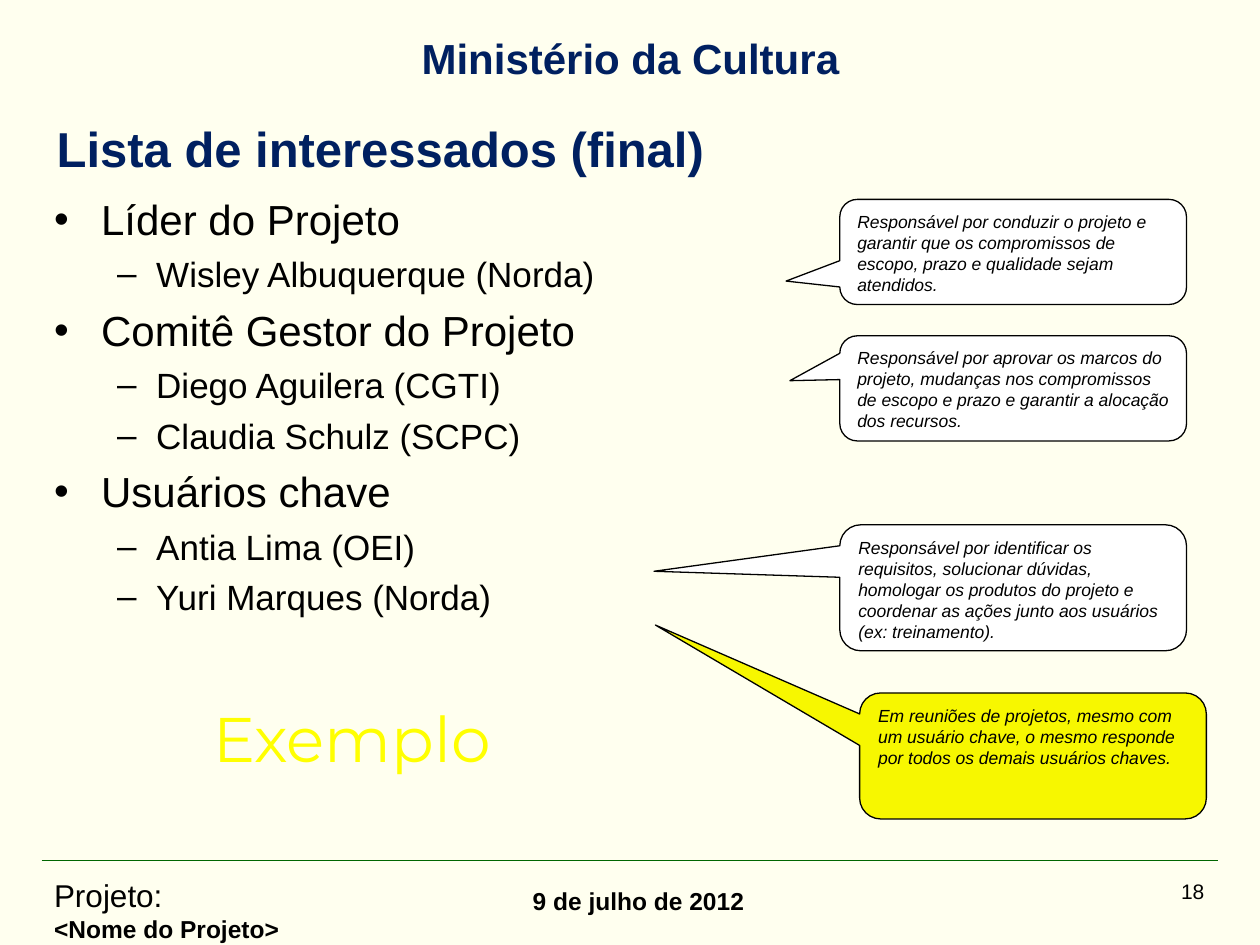
from lxml.etree import SubElement
from pptx import Presentation
from pptx.dml.color import RGBColor
from pptx.enum.shapes import MSO_CONNECTOR, MSO_SHAPE
from pptx.enum.text import MSO_ANCHOR, PP_ALIGN
from pptx.oxml.ns import qn
from pptx.util import Cm, Pt

THEME = {
    "font": "Arial", "accent_font": "Montserrat",
    "background": "FFFFEF", "heading": "002060", "text": "000000",
    "rule": "006600", "note": "FFFFFF", "highlight": "F7F700", "example": "FFFF00",
    "title": 28, "header": 24, "levels": (24, 20), "callout": 10,
    "project": 18, "footer": 14, "number": 12, "example_size": 36, "line": 0.75,
}

TITLE = "Lista de interessados (final)"
STAKEHOLDERS = [
    ("Líder do Projeto", ["Wisley Albuquerque (Norda)"]),
    ("Comitê Gestor do Projeto", ["Diego Aguilera (CGTI)", "Claudia Schulz (SCPC)"]),
    ("Usuários chave", ["Antia Lima (OEI)", "Yuri Marques (Norda)"]),
]
LEVELS = [("•", 0.95, 0.95, 5.5), ("–", 2.06, 0.79, 5)]

CALLOUT_WIDTH = 6.99
CALLOUTS = [
    ("Responsável por conduzir o projeto e garantir que os compromissos de escopo, "
     "prazo e qualidade sejam atendidos.", 16.93, 4.02, 2.12, (-0.655, 0.277), "note"),
    ("Responsável por aprovar os marcos do projeto, mudanças nos compromissos de "
     "escopo e prazo e garantir a alocação dos recursos.",
     16.93, 6.77, 2.12, (-0.644, -0.073), "note"),
    ("Responsável por identificar os requisitos, solucionar dúvidas, homologar os "
     "produtos do projeto e coordenar as ações junto aos usuários (ex: treinamento).",
     16.93, 10.58, 2.54, (-1.036, -0.131), "note"),
    ("Em reuniões de projetos, mesmo com um usuário chave, o mesmo responde por "
     "todos os demais usuários chaves.",
     17.33, 13.97, 2.54, (-1.089, -1.039), "highlight"),
]


def rgb(name):
    return RGBColor.from_string(THEME[name])


def style(p, size, color="text", bold=False, italic=False, font="font"):
    for r in p.runs:
        r.font.name = THEME[font]
        r.font.size = Pt(size)
        r.font.bold = bold
        r.font.italic = italic
        r.font.color.rgb = rgb(color)


def add_text(s, box, lines, align=PP_ALIGN.LEFT, wrap=True):
    tf = s.shapes.add_textbox(*map(Cm, box)).text_frame
    tf.word_wrap = wrap
    for i, (text, size, look) in enumerate(lines):
        p = tf.paragraphs[0] if i == 0 else tf.add_paragraph()
        p.text = text
        p.alignment = align
        style(p, size, **look)
    return tf


def add_stakeholders(s):
    items = [item for group, people in STAKEHOLDERS
             for item in [(group, 0)] + [(name, 1) for name in people]]
    lines = [(text, THEME["levels"][level], {}) for text, level in items]
    tf = add_text(s, (0.84, 3.78, 23.7, 13.2), lines)
    for i, (p, (_, level)) in enumerate(zip(tf.paragraphs, items)):
        mark, margin, hanging, gap = LEVELS[level]
        p.level = level
        p.space_before = Pt(gap if i else 0)
        pPr = p._p.get_or_add_pPr()
        pPr.set("marL", str(Cm(margin)))
        pPr.set("indent", str(-Cm(hanging)))
        SubElement(pPr, qn("a:buFont")).set("typeface", THEME["font"])
        SubElement(pPr, qn("a:buChar")).set("char", mark)


def add_callout(s, text, left, top, height, tip, fill):
    sp = s.shapes.add_shape(MSO_SHAPE.ROUNDED_RECTANGULAR_CALLOUT,
                            *map(Cm, (left, top, CALLOUT_WIDTH, height)))
    sp.shadow.inherit = False
    sp.adjustments[0], sp.adjustments[1] = tip
    sp.fill.solid()
    sp.fill.fore_color.rgb = rgb(fill)
    sp.line.color.rgb = rgb("text")
    sp.line.width = Pt(THEME["line"])
    tf = sp.text_frame
    tf.word_wrap = True
    tf.vertical_anchor = MSO_ANCHOR.TOP
    p = tf.paragraphs[0]
    p.text = text
    p.alignment = PP_ALIGN.LEFT
    style(p, THEME["callout"], italic=True)


def add_title(s):
    sp = s.shapes.title
    sp.left, sp.top, sp.width, sp.height = map(Cm, (0.89, 2.34, 23.7, 1.27))
    tf = sp.text_frame
    tf.text = TITLE
    tf.vertical_anchor = MSO_ANCHOR.MIDDLE
    tf.paragraphs[0].alignment = PP_ALIGN.LEFT
    style(tf.paragraphs[0], THEME["title"], "heading", bold=True)


def add_rule(s):
    line = s.shapes.add_connector(MSO_CONNECTOR.STRAIGHT,
                                  *map(Cm, (0.84, 17.35, 24.56, 17.35)))
    line.line.color.rgb = rgb("rule")
    line.line.width = Pt(THEME["line"])
    SubElement(line._element.spPr, qn("a:effectLst"))


def main():
    """Build the stakeholder list slide."""
    prs = Presentation()
    prs.slide_width, prs.slide_height = Cm(25.4), Cm(19.05)
    s = prs.slides.add_slide(prs.slide_layouts[5])
    s.background.fill.solid()
    s.background.fill.fore_color.rgb = rgb("background")

    bold = {"bold": True}
    add_rule(s)
    add_text(s, (10.49, 17.73, 5.59, 0.99),
             [("9 de julho de 2012", THEME["footer"], bold)])
    add_text(s, (1.19, 0.53, 23.04, 1.27),
             [("Ministério da Cultura", THEME["header"], {"color": "heading", **bold})],
             PP_ALIGN.CENTER)
    add_text(s, (19.25, 17.58, 5.28, 1.27), [("18", THEME["number"], {})], PP_ALIGN.RIGHT)
    add_text(s, (0.84, 17.53, 7.62, 1.27),
             [("Projeto:", THEME["project"], {}),
              ("<Nome do Projeto>", THEME["footer"], bold)])
    add_title(s)
    add_stakeholders(s)
    add_text(s, (2.69, 13.97, 8.81, 3.4),
             [("Exemplo", THEME["example_size"],
               {"color": "example", "font": "accent_font"})],
             PP_ALIGN.CENTER, wrap=False)
    for callout in CALLOUTS:
        add_callout(s, *callout)
    prs.save("out.pptx")


if __name__ == "__main__":
    main()
